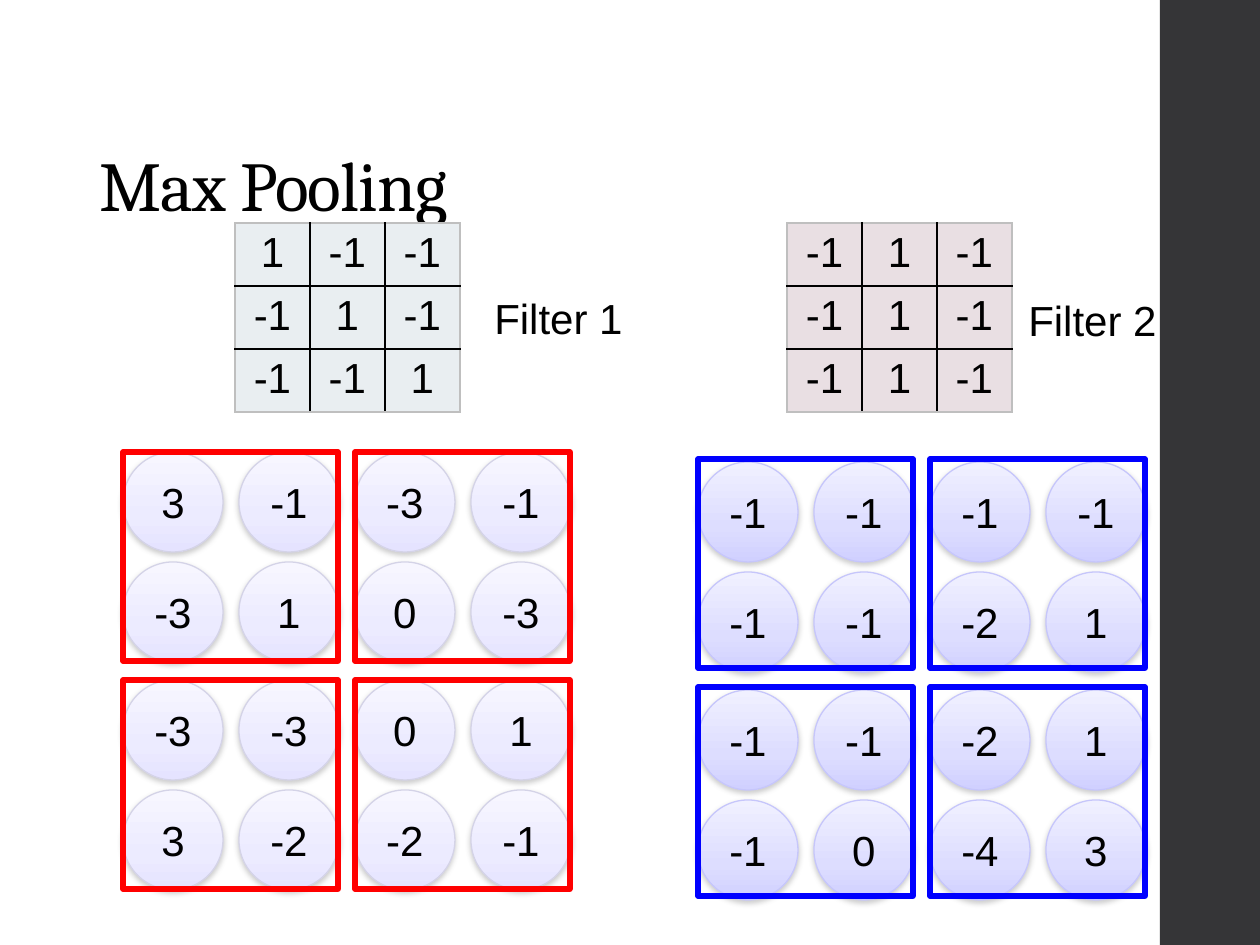
from lxml import etree
from pptx import Presentation
from pptx import util as u
from pptx.dml.color import RGBColor
from pptx.enum import shapes, text
from pptx.oxml import parse_xml
from pptx.oxml.ns import nsdecls, qn

PX = 914400 / 126  # one px in EMU

BLACK = RGBColor(0x00, 0x00, 0x00)
SIDEBAR = RGBColor(0x35, 0x35, 0x37)
RED = RGBColor(0xFF, 0x00, 0x00)
BLUE = RGBColor(0x00, 0x00, 0xFF)
GREY = RGBColor(0xBF, 0xBF, 0xBF)
SHADOW = RGBColor(0x80, 0x80, 0x80)
FILTER_1_FILL = RGBColor(0xE9, 0xEE, 0xF1)
FILTER_2_FILL = RGBColor(0xE9, 0xDF, 0xE3)
PALE_LINE = RGBColor(0xD4, 0xD3, 0xE7)
PALE_STOPS = [(0, RGBColor(0xF7, 0xF6, 0xFF)), (65, RGBColor(0xEC, 0xEB, 0xFF)),
              (100, RGBColor(0xE5, 0xE3, 0xFF))]
LILAC_LINE = RGBColor(0xC6, 0xC6, 0xFB)
LILAC_STOPS = [(0, RGBColor(0xF0, 0xF0, 0xFF)), (65, RGBColor(0xDD, 0xDD, 0xFF)),
               (100, RGBColor(0xD0, 0xD0, 0xFF))]

FILTER_1 = [[1, -1, -1], [-1, 1, -1], [-1, -1, 1]]
FILTER_2 = [[-1, 1, -1]] * 3
MAP_1 = [[3, -1, -3, -1], [-3, 1, 0, -3], [-3, -3, 0, 1], [3, -2, -2, -1]]
MAP_2 = [[-1, -1, -1, -1], [-1, -1, -2, 1], [-1, -1, -2, 1], [-1, 0, -4, 3]]

# Feature map grid in px: circles in 2 x 2 pooling windows
CIRCLE, STEP_X, STEP_Y = 100, 116, 110
WINDOW_W, WINDOW_H, WINDOW_STEP_X, WINDOW_STEP_Y = 215, 209, 232, 228


def px(*lengths):
    return [u.Emu(round(length * PX)) for length in lengths]


def write(frame, content, size=24, font="Arial", align=text.PP_ALIGN.CENTER):
    paragraph = frame.paragraphs[0]
    paragraph.text = str(content)
    paragraph.alignment = align
    paragraph.font.size = u.Pt(size)
    paragraph.font.name = font
    paragraph.font.color.rgb = BLACK
    return paragraph


def add_title(slide, content):
    title = slide.shapes.title
    title.left, title.top, title.width, title.height = px(87, 50, 1086, 183)
    title.text_frame.vertical_anchor = text.MSO_ANCHOR.BOTTOM
    paragraph = write(title.text_frame, content, 40, "Cambria", text.PP_ALIGN.LEFT)
    paragraph.line_spacing = 0.9
    paragraph.runs[0].font._element.set("spc", "-50")


def add_sidebar(slide):
    shape = slide.shapes.add_shape(shapes.MSO_SHAPE.RECTANGLE, *px(1160, 0, 100, 945))
    shape.shadow.inherit = False
    shape.fill.solid()
    shape.fill.fore_color.rgb = SIDEBAR
    shape.line.fill.background()


def add_label(slide, left, top, content):
    frame = slide.shapes.add_textbox(*px(left, top, 199, 64)).text_frame
    frame.word_wrap = True
    write(frame, content)


def set_border(cell, side, color):
    cell._tc.get_or_add_tcPr().append(parse_xml(
        f'<a:{side} {nsdecls("a")} w="12700"><a:solidFill>'
        f'<a:srgbClr val="{color}"/></a:solidFill></a:{side}>'))


def add_filter(slide, left, row_height, values, fill):
    count = len(values)
    last = count - 1
    table = slide.shapes.add_table(
        count, count, *px(left, 223, 75 * count, row_height * count)).table
    for i, row in enumerate(values):
        table.rows[i].height = px(row_height)[0]
        for j, value in enumerate(row):
            cell = table.cell(i, j)
            write(cell.text_frame, value)
            # Grey outside, black inside; borders go before the fill
            for side, outer in (("lnL", j == 0), ("lnR", j == last),
                                ("lnT", i == 0), ("lnB", i == last)):
                set_border(cell, side, GREY if outer else BLACK)
            cell.fill.solid()
            cell.fill.fore_color.rgb = fill


def add_circle(slide, left, top, value, stops, line):
    shape = slide.shapes.add_shape(
        shapes.MSO_SHAPE.OVAL, *px(left, top, CIRCLE, CIRCLE))
    shape.fill.gradient()
    shape.fill.gradient_angle = 270
    stop_list = shape._element.spPr.find(".//" + qn("a:gsLst"))
    for old_stop in list(stop_list):
        stop_list.remove(old_stop)
    for position, color in stops:
        stop = etree.SubElement(stop_list, qn("a:gs"), pos=str(position * 1000))
        etree.SubElement(stop, qn("a:srgbClr"), val=str(color))
    shape.line.color.rgb = line
    shape.line.width = u.Pt(0.75)
    shape._element.spPr.append(parse_xml(
        f'<a:effectLst {nsdecls("a")}><a:outerShdw blurRad="{u.Pt(3.1)}" '
        f'dist="{u.Pt(1.6)}" dir="5400000" rotWithShape="0"><a:srgbClr val="{SHADOW}">'
        '<a:alpha val="38000"/></a:srgbClr></a:outerShdw></a:effectLst>'))
    shape.text_frame.vertical_anchor = text.MSO_ANCHOR.MIDDLE
    write(shape.text_frame, value)


def add_window(slide, left, top, color):
    shape = slide.shapes.add_shape(
        shapes.MSO_SHAPE.RECTANGLE, *px(left, top, WINDOW_W, WINDOW_H))
    shape.shadow.inherit = False
    shape.fill.background()
    shape.line.color.rgb = color
    shape.line.width = u.Pt(3)


def add_feature_map(slide, left, top, window_top, values, stops, line, window_color):
    for i, row in enumerate(values):
        y = top + i // 2 * WINDOW_STEP_Y + i % 2 * STEP_Y
        for j, value in enumerate(row):
            add_circle(slide, left + j * STEP_X, y, value, stops, line)
    for i in range(2):
        for j in range(2):
            add_window(slide, left + j * WINDOW_STEP_X,
                       window_top + i * WINDOW_STEP_Y, window_color)


def main():
    presentation = Presentation()
    presentation.slide_width, presentation.slide_height = px(1260, 945)
    slide = presentation.slides.add_slide(presentation.slide_layouts[5])
    add_sidebar(slide)
    add_title(slide, "Max Pooling")

    # First filter and its feature map
    add_filter(slide, 235, 63, FILTER_1, FILTER_1_FILL)
    add_label(slide, 459, 286, "Filter 1")
    add_feature_map(slide, 123, 452, 452, MAP_1, PALE_STOPS, PALE_LINE, RED)

    # Second filter and its feature map
    add_filter(slide, 787, 60, FILTER_2, FILTER_2_FILL)
    add_label(slide, 993, 288, "Filter 2")
    add_feature_map(slide, 698, 462, 459, MAP_2, LILAC_STOPS, LILAC_LINE, BLUE)

    presentation.save("out.pptx")


if __name__ == "__main__":
    main()
